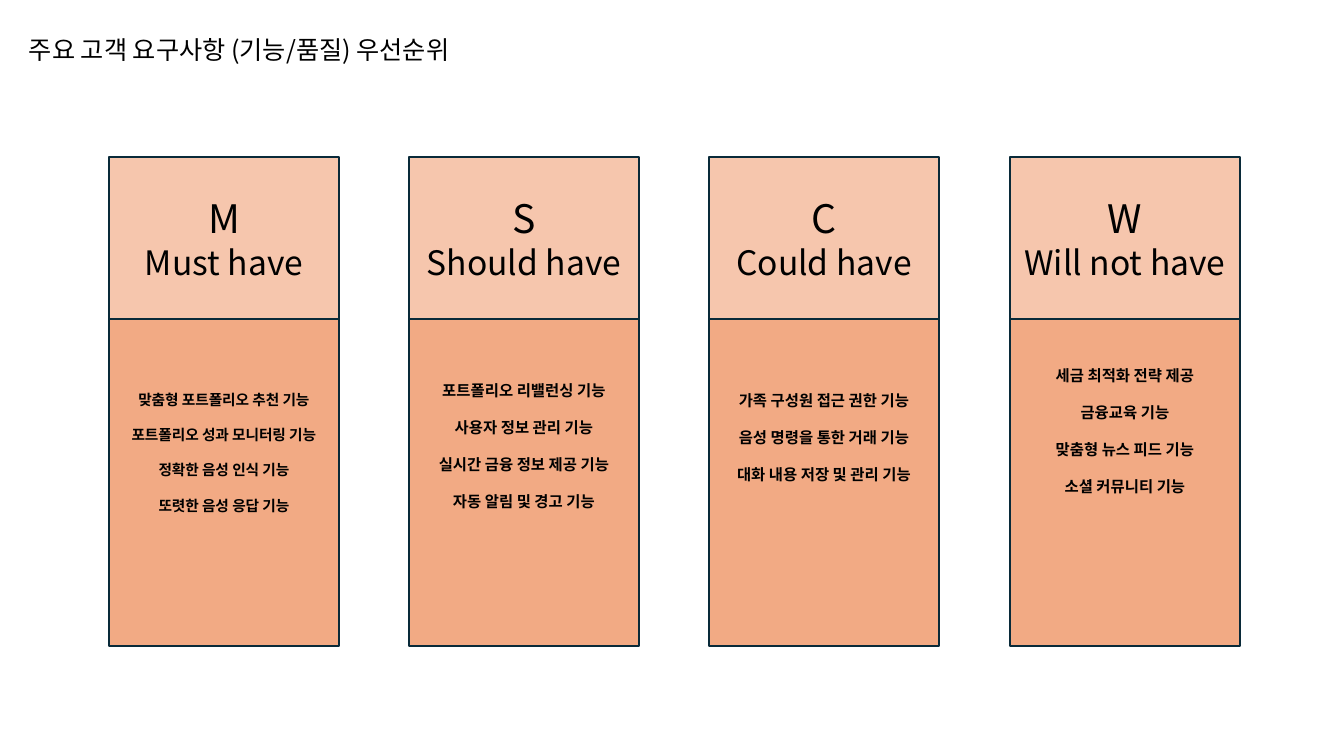
from pptx import Presentation, util as u
from pptx.dml import color
from pptx.enum import shapes, text
from pptx.oxml import xmlchemy

FONT = "Noto Sans CJK KR"
LEFT, SPAN, WIDTH = 109, 901, 230
COLUMNS = [
    ("M", "Must have", 10.5, 25.2, 54,
     ["맞춤형 포트폴리오 추천 기능", "포트폴리오 성과 모니터링 기능",
      "정확한 음성 인식 기능", "또렷한 음성 응답 기능"]),
    ("S", "Should have", 11, 26.4, 44,
     ["포트폴리오 리밸런싱 기능", "사용자 정보 관리 기능",
      "실시간 금융 정보 제공 기능", "자동 알림 및 경고 기능"]),
    ("C", "Could have", 11, 26.4, 54,
     ["가족 구성원 접근 권한 기능", "음성 명령을 통한 거래 기능",
      "대화 내용 저장 및 관리 기능"]),
    ("W", "Will not have", 11, 26.4, 29,
     ["세금 최적화 전략 제공", "금융교육 기능",
      "맞춤형 뉴스 피드 기능", "소셜 커뮤니티 기능"]),
]


def px(value):
    return u.Emu(round(value * 914400 / 100.8))


def write(shape, lines, bold=False, align=text.PP_ALIGN.CENTER):
    frame = shape.text_frame
    frame.word_wrap = True
    for index, (words, size, pitch) in enumerate(lines):
        paragraph = frame.paragraphs[0] if index == 0 else frame.add_paragraph()
        paragraph.alignment = align
        if pitch:
            paragraph.line_spacing = u.Pt(pitch)
        run = paragraph.add_run()
        run.text = words
        run.font.name = FONT
        run.font.size = u.Pt(size)
        run.font.bold = bold
        run.font.color.rgb = color.RGBColor.from_string("000000")
        east_asian = xmlchemy.OxmlElement("a:ea")
        east_asian.set("typeface", FONT)
        run.font._element.append(east_asian)


presentation = Presentation()
presentation.slide_width, presentation.slide_height = px(1344), px(756)
slide = presentation.slides.add_slide(presentation.slide_layouts[6])

title = slide.shapes.add_textbox(px(19), px(29), px(521), px(40))
title.text_frame.vertical_anchor = text.MSO_ANCHOR.MIDDLE
write(title, [("주요 고객 요구사항 (기능/품질) 우선순위", 18, None)], align=text.PP_ALIGN.LEFT)

for column, (letter, name, size, pitch, inset, features) in enumerate(COLUMNS):
    left = LEFT + column * SPAN // 3
    panels = []
    for top, height, fill in [(157, 162, "F6C6AD"), (319, 327, "F2AA84")]:
        panel = slide.shapes.add_shape(
            shapes.MSO_SHAPE.RECTANGLE, px(left), px(top), px(WIDTH), px(height))
        panel.shadow.inherit = False
        panel.fill.solid()
        panel.fill.fore_color.rgb = color.RGBColor.from_string(fill)
        panel.line.color.rgb = color.RGBColor.from_string("092A39")
        panel.line.width = u.Pt(1.5)
        panels.append(panel)
    header, body = panels
    header.text_frame.vertical_anchor = text.MSO_ANCHOR.MIDDLE
    write(header, [(letter, 28, 34), (name, 24, 29.5)])
    body.text_frame.vertical_anchor = text.MSO_ANCHOR.TOP
    body.text_frame.margin_top = px(inset)
    write(body, [(feature, size, pitch) for feature in features], bold=True)

presentation.save("out.pptx")
